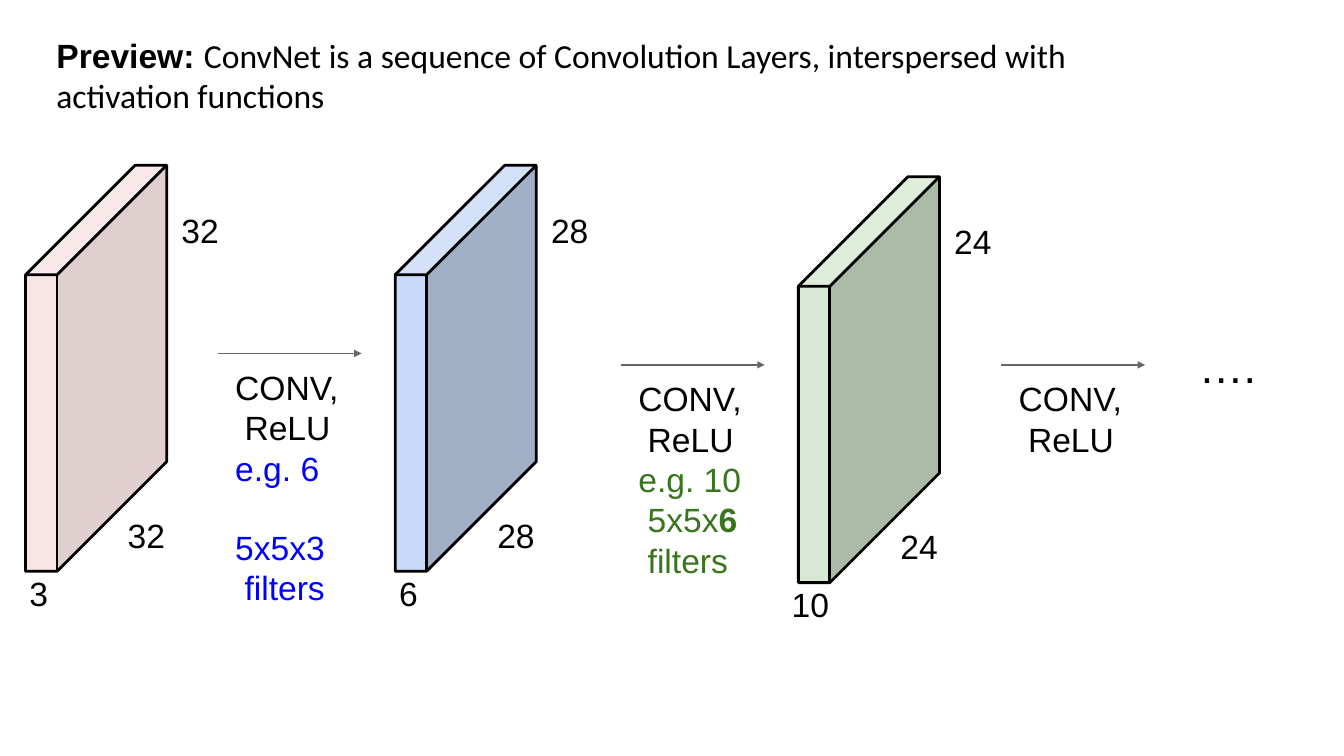
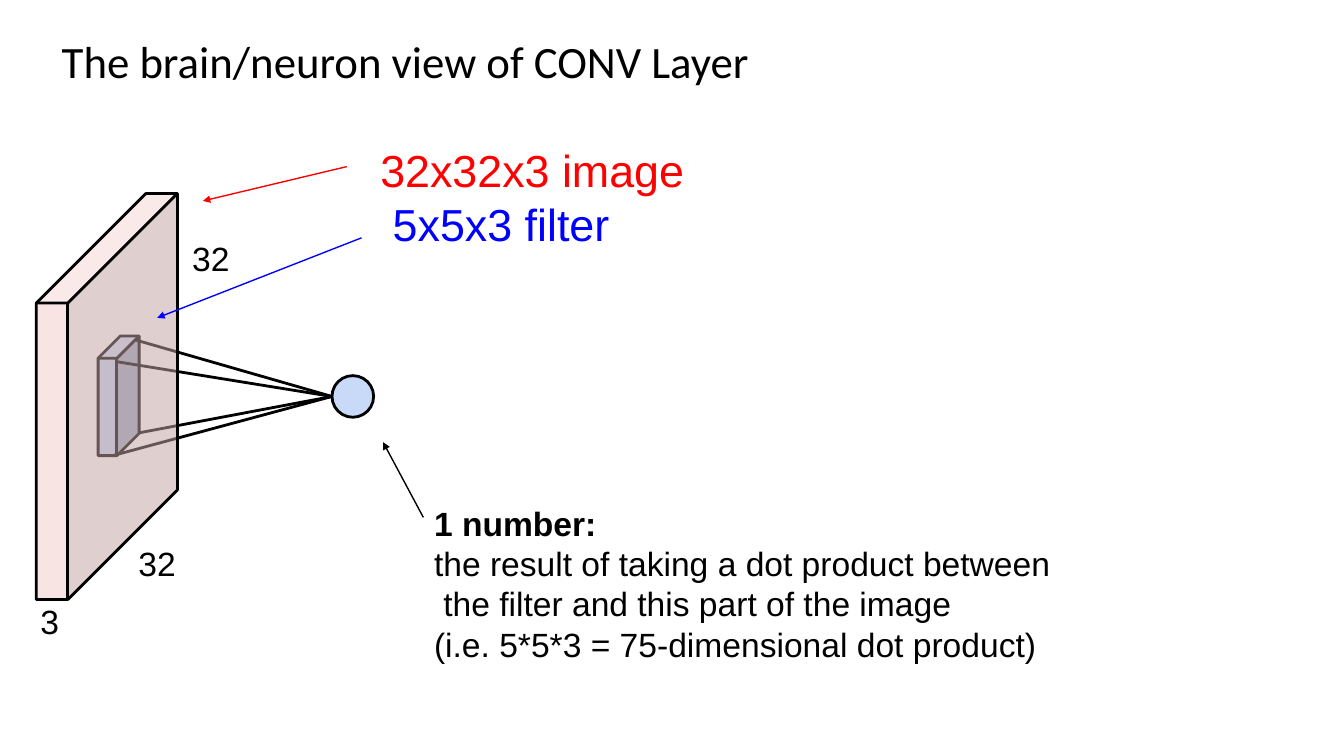
from dataclasses import dataclass

from pptx import Presentation
from pptx.dml.color import RGBColor
from pptx.enum.shapes import MSO_CONNECTOR, MSO_SHAPE
from pptx.enum.text import MSO_ANCHOR
from pptx.oxml.ns import qn
from pptx.oxml.xmlchemy import OxmlElement
from pptx.util import Inches, Pt

STRAIGHT = MSO_CONNECTOR.STRAIGHT
OVAL = MSO_SHAPE.OVAL
MIDDLE = MSO_ANCHOR.MIDDLE
TOP = MSO_ANCHOR.TOP
CELL = 0.1  # inches to one column or row: the slide has 100 by 56.25
BLANK_LAYOUT = 6


@dataclass(frozen=True)
class Theme:
    black: str = "000000"
    grey: str = "666666"
    red: str = "FF0000"
    blue: str = "0000FF"
    green: str = "38751C"
    # Front, side and top faces of a block
    pink_faces: tuple = ("F4CCCC", "C3A3A3", "F6D6D6")
    blue_faces: tuple = ("C8DAF7", "A0AEC6", "D3E1F9")
    green_faces: tuple = ("D8E9D3", "ACBAA8", "DFEDDB")
    glass: int = 52
    body_font: str = "Arial"
    title_font: str = "Calibri"
    body_size: float = 18
    large_size: float = 24
    thick: float = 1.5
    thin: float = 0.75


THEME = Theme()
INPUT_BLOCK = (10.5, 30.2, 8.15)  # width, height, depth
FILTER_BLOCK = (3.05, 8.9, 1.65)


def grid(value):
    return Inches(value * CELL)


def color(value):
    return RGBColor.from_string(value)


# Basic parts

def add_paragraph(frame, runs, size, font, ink, space_before=0, line_spacing=1.0):
    """Fill one paragraph from (text, bold) runs; a line feed breaks the line."""
    first = frame.paragraphs[0]
    paragraph = frame.add_paragraph() if first.runs else first
    paragraph.line_spacing = line_spacing
    if space_before:
        paragraph.space_before = Pt(space_before)
    paragraph.font.size = Pt(size)
    paragraph.font.name = font
    paragraph.font.color.rgb = color(ink)
    for text, bold in runs:
        for index, line in enumerate(text.split("\n")):
            if index:
                paragraph.add_line_break()
            if line:
                run = paragraph.add_run()
                run.text = line
                if bold:
                    run.font.bold = True
    return paragraph


def add_frame(slide, left, top, width, height, anchor=TOP):
    box = slide.shapes.add_textbox(grid(left), grid(top), grid(width), grid(height))
    frame = box.text_frame
    frame.word_wrap = True
    frame.vertical_anchor = anchor
    frame.margin_right = frame.margin_bottom = 0
    frame.margin_left = frame.margin_top = Inches(0.01)
    return frame


def add_text(slide, box, text, size=THEME.body_size):
    frame = add_frame(slide, *box)
    add_paragraph(frame, [(text, False)], size, THEME.body_font, THEME.black)


def add_title(slide, box, runs, size):
    frame = add_frame(slide, *box, anchor=MIDDLE)
    return add_paragraph(frame, runs, size, THEME.title_font, THEME.black)


def add_line(slide, start, end, ink=THEME.black, weight=THEME.thick, arrow=False):
    line = slide.shapes.add_connector(STRAIGHT, *map(grid, start + end))
    line.line.color.rgb = color(ink)
    line.line.width = Pt(weight)
    if arrow:
        head = OxmlElement("a:tailEnd")
        for name, value in (("type", "triangle"), ("w", "sm"), ("len", "sm")):
            head.set(name, value)
        line.element.spPr.find(qn("a:ln")).append(head)
    line.element.spPr.append(OxmlElement("a:effectLst"))


def add_arrow(slide, start, end, ink):
    add_line(slide, start, end, ink, THEME.thin, arrow=True)


def add_outline(slide, points, fill=None, opacity=100, closed=True):
    """Draw a filled face, or a black outline when no fill is given."""
    corners = [(grid(x), grid(y)) for x, y in points]
    builder = slide.shapes.build_freeform(*corners[0], scale=1.0)
    builder.add_line_segments(corners[1:], close=closed)
    shape = builder.convert_to_shape()
    shape.shadow.inherit = False
    if fill is None:
        shape.fill.background()
        shape.line.color.rgb = color(THEME.black)
        shape.line.width = Pt(THEME.thick)
        return
    shape.fill.solid()
    shape.fill.fore_color.rgb = color(fill)
    shape.line.fill.background()
    if opacity < 100:
        alpha = OxmlElement("a:alpha")
        alpha.set("val", str(opacity * 1000))
        shape.element.spPr.find(qn("a:solidFill"))[0].append(alpha)


# Blocks and their labels

def add_block(slide, left, top, size, faces, opacity=100):
    width, height, depth = size
    right, bottom = left + width, top + height
    edge, shoulder = right - depth, top + depth
    front_left, front_right = (left, shoulder), (edge, shoulder)
    back_left, back_right = (left + depth, top), (right, top)
    low_left, low_right, low_back = (left, bottom), (edge, bottom), (right, bottom - depth)

    outlines = (
        (front_left, front_right, low_right, low_left),
        (low_right, front_right, back_right, low_back),
        (front_right, front_left, back_left, back_right),
    )
    for points, fill in zip(outlines, faces):
        add_outline(slide, points, fill, opacity)
    add_outline(slide, (front_left, back_left, back_right, low_back, low_right, low_left))
    add_outline(slide, (front_left, front_right, back_right), closed=False)
    add_line(slide, front_right, low_right)


def add_volume(slide, left, top, side, depth, faces, opacity=100):
    """Draw a full-size block with its side lengths and its depth."""
    add_block(slide, left, top, INPUT_BLOCK, faces, opacity)
    add_text(slide, (left + 7.5, top + 25.9, 3.1, 3.3), side)
    add_text(slide, (left + 11.5, top + 3.2, 3.1, 3.3), side)
    depth_left, depth_width = (0.2, 1.7) if len(depth) == 1 else (-0.6, 3.1)
    add_text(slide, (left + depth_left, top + 30.2, depth_width, 3.3), depth)


def add_stage(slide, left, top, height, details=(), ink=THEME.black):
    """Draw an arrow with the operation and its filters below."""
    add_arrow(slide, (left, top), (left + 10.7, top), THEME.grey)
    frame = add_frame(slide, left + 1.2, top + 0.9, 8.2, height)
    add_paragraph(frame, [("CONV,\n ReLU", False)], THEME.body_size,
                  THEME.body_font, THEME.black)
    for runs, gap in details:
        add_paragraph(frame, runs, THEME.body_size, THEME.body_font, ink, gap)


# Slides

def build_sequence_slide(slide):
    title = add_title(slide, (4.1, 2.4, 82.2, 6.3), [
        ("Preview: ", True),
        ("ConvNet is a sequence of Convolution Layers, interspersed with\n"
         "activation functions", False)], THEME.body_size)
    title.runs[0].font.name = THEME.body_font

    # Volumes
    upper, lower = 12.3, 13.15
    first, second, third = 1.9, 29.4, 59.4
    add_volume(slide, first, upper, "32", "3", THEME.pink_faces, THEME.glass)
    add_volume(slide, second, upper, "28", "6", THEME.blue_faces)
    add_volume(slide, third, lower, "24", "10", THEME.green_faces)

    # Operations between them
    lead, drop = 13.2, 14
    add_stage(slide, second - lead, upper + drop, 15.4, (
        ([("e.g. 6", False)], 0),
        ([("5x5x3\n filters", False)], 20.9)), THEME.blue)
    add_stage(slide, third - lead, lower + drop, 15.4, (
        ([("e.g. 10\n 5x5x", False), ("6", True), ("\n filters", False)], 0),), THEME.green)
    add_stage(slide, 74.5, lower + drop, 6.3)
    add_text(slide, (89.1, 25.1, 4.5, 4.3), "….", THEME.large_size)


def add_neuron(slide, left, top, diameter, sources):
    neuron = slide.shapes.add_shape(OVAL, *map(grid, (left, top, diameter, diameter)))
    neuron.shadow.inherit = False
    neuron.fill.solid()
    neuron.fill.fore_color.rgb = color(THEME.blue_faces[0])
    neuron.line.color.rgb = color(THEME.black)
    neuron.line.width = Pt(THEME.thick)
    for source in sources:
        add_line(slide, source, (left, top + diameter / 2))


def build_neuron_slide(slide):
    add_title(slide, (4.5, 2.3, 56.7, 4.3),
              [("The brain/neuron view of CONV Layer", False)], THEME.large_size)

    # Filter and neuron, seen through the input volume
    add_block(slide, 7.3, 25, FILTER_BLOCK, THEME.blue_faces)
    add_neuron(slide, 24.7, 27.95, 3.1,
               ((8.4, 33.9), (8.6, 26.9), (10.1, 25.3), (10.4, 32.2)))
    add_volume(slide, 2.7, 14.4, "32", "3", THEME.pink_faces, THEME.glass)

    # Names of the image and the filter
    frame = add_frame(slide, 28.2, 10.6, 23, 8)
    names = add_paragraph(frame, [("32x32x3 image\n", False), (" 5x5x3 filter", False)],
                          THEME.large_size, THEME.body_font, THEME.red,
                          line_spacing=Pt(28.5))
    names.runs[1].font.color.rgb = color(THEME.blue)
    add_arrow(slide, (25.8, 12.4), (15.1, 14.95), THEME.red)
    add_arrow(slide, (26.9, 17.7), (11.7, 23.65), THEME.blue)

    # Meaning of the neuron's value
    add_arrow(slide, (31.5, 38.5), (28.5, 32.9), THEME.black)
    frame = add_frame(slide, 32.2, 37.3, 47, 12.1)
    for text, bold in (
            ("1 number:", True),
            ("the result of taking a dot product between\n"
             " the filter and this part of the image", False),
            ("(i.e. 5*5*3 = 75-dimensional dot product)", False)):
        add_paragraph(frame, [(text, bold)], THEME.body_size, THEME.body_font, THEME.black)


def main():
    presentation = Presentation()
    presentation.slide_width = Inches(10)
    presentation.slide_height = presentation.slide_width * 9 // 16
    layout = presentation.slide_layouts[BLANK_LAYOUT]
    for build in (build_sequence_slide, build_neuron_slide):
        build(presentation.slides.add_slide(layout))
    presentation.save("out.pptx")


if __name__ == "__main__":
    main()
